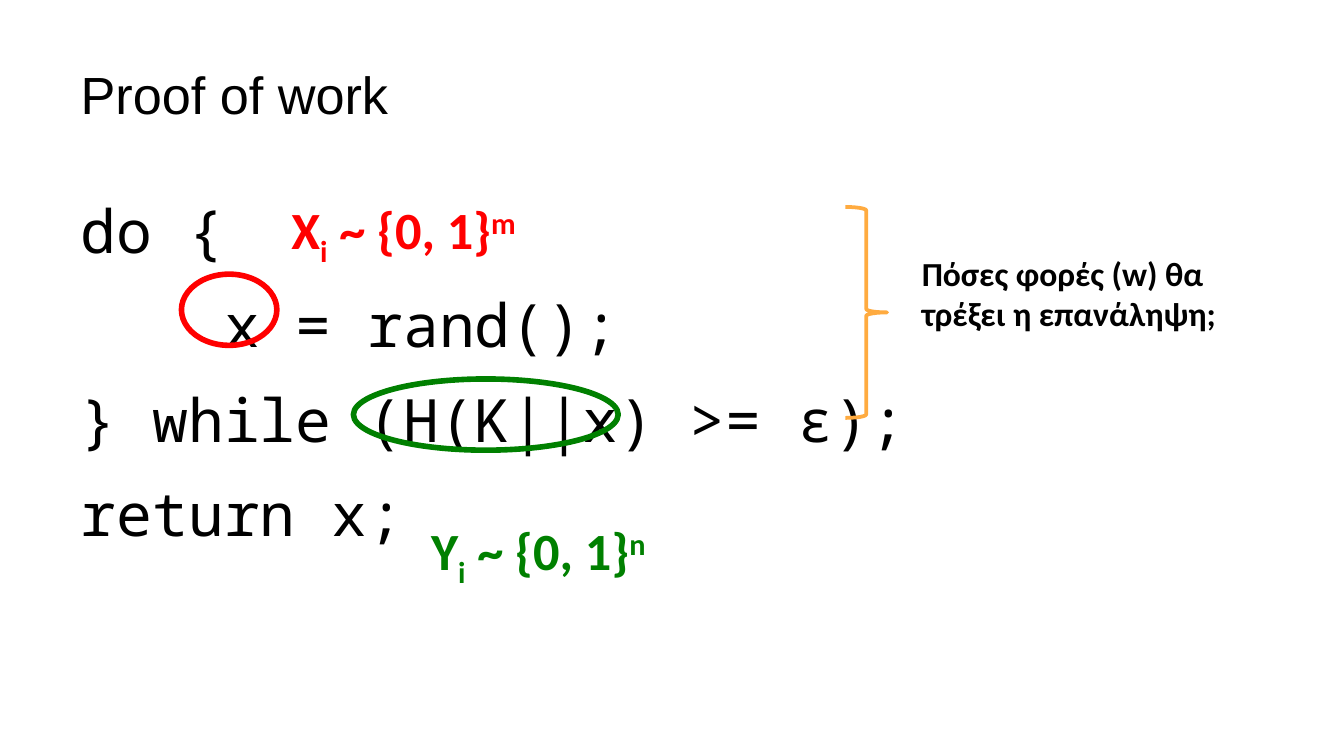
from dataclasses import dataclass

from lxml import etree
from pptx import Presentation
from pptx.dml.color import RGBColor
from pptx.enum.shapes import MSO_SHAPE
from pptx.enum.text import MSO_ANCHOR, MSO_AUTO_SIZE, PP_ALIGN
from pptx.oxml.ns import qn
from pptx.util import Inches, Pt

ELLIPSE = MSO_SHAPE.OVAL
BRACE = MSO_SHAPE.RIGHT_BRACE
MIDDLE = MSO_ANCHOR.MIDDLE
TOP = MSO_ANCHOR.TOP
NO_AUTOFIT = MSO_AUTO_SIZE.NONE
LEFT = PP_ALIGN.LEFT


@dataclass(frozen=True)
class Theme:
    ink: str = "000000"
    input_color: str = "FF0000"
    hash_color: str = "008000"
    loop_color: str = "FFAB40"
    title_font: str = "Arial"
    code_font: str = "Noto Sans Mono"
    label_font: str = "Calibri"
    title_size: float = 28
    code_size: float = 32
    label_size: float = 28
    question_size: float = 18


@dataclass(frozen=True)
class Box:
    left: float
    top: float
    width: float
    height: float

    def lengths(self):
        return [Inches(v) for v in (self.left, self.top, self.width, self.height)]


@dataclass(frozen=True)
class Variable:
    symbol: str
    exponent: str
    color: str
    ring: Box
    label: Box


THEME = Theme()
CODE = ["do {", "    x = rand();", "} while (H(K||x) >= ε);", "return x;"]
VARIABLES = [
    Variable("X", "m", THEME.input_color, Box(1.35, 2.04, 0.71, 0.53), Box(2.07, 1.42, 1.93, 0.43)),
    Variable("Y", "n", THEME.hash_color, Box(2.63, 2.82, 1.97, 0.53), Box(3.11, 3.81, 1.93, 0.43)),
]


def add_run(paragraph, text: str, font: str, size: float, color: str,
            bold: bool = False, baseline: int = 0) -> None:
    run = paragraph.add_run()
    run.text = text
    run.font.name = font
    run.font.size = Pt(size)
    run.font.bold = bold
    run.font.color.rgb = RGBColor.from_string(color)
    if baseline:
        run.font._element.set("baseline", str(baseline * 1000))


def place(shape, box: Box, anchor):
    shape.left, shape.top, shape.width, shape.height = box.lengths()
    frame = shape.text_frame
    frame.word_wrap = True
    frame.auto_size = NO_AUTOFIT
    frame.vertical_anchor = anchor
    return frame


def add_title(slide) -> None:
    frame = place(slide.shapes.title, Box(0.5, 0.23, 9, 0.94), MIDDLE)
    heading = frame.paragraphs[0]
    heading.alignment = LEFT
    add_run(heading, "Proof of work", THEME.title_font, THEME.title_size, THEME.ink)


def add_code(slide) -> None:
    frame = place(slide.placeholders[1], Box(0.5, 1.31, 9, 3.71), TOP)
    for index, code in enumerate(CODE):
        line = frame.add_paragraph() if index else frame.paragraphs[0]
        properties = line._p.get_or_add_pPr()
        properties.set("marL", "0")
        properties.set("indent", "0")
        etree.SubElement(properties, qn("a:buNone"))
        line.alignment = LEFT
        line.line_spacing = 1.15
        line.space_before = Pt(6.4 if index else 0)
        add_run(line, code, THEME.code_font, THEME.code_size, THEME.ink)
    frame.paragraphs[-1].space_after = Pt(16)


def add_outline(slide, kind, box: Box, color: str, weight: float):
    outline = slide.shapes.add_shape(kind, *box.lengths())
    outline.shadow.inherit = False
    outline.fill.background()
    outline.line.color.rgb = RGBColor.from_string(color)
    outline.line.width = Pt(weight)
    return outline


def add_label(slide, box: Box):
    label = slide.shapes.add_textbox(*box.lengths())
    return place(label, box, TOP).paragraphs[0]


def add_loop_question(slide) -> None:
    brace = add_outline(slide, BRACE, Box(6.29, 1.54, 0.31, 1.57), THEME.loop_color, 2)
    brace.adjustments[0] = 0.083
    brace.adjustments[1] = 0.5
    question = add_label(slide, Box(6.76, 1.83, 2.48, 0.53))
    add_run(question, "Πόσες φορές (w) θα τρέξει η επανάληψη;",
            THEME.label_font, THEME.question_size, THEME.ink, True)


def add_variable(slide, variable: Variable) -> None:
    add_outline(slide, ELLIPSE, variable.ring, variable.color, 3)
    formula = add_label(slide, variable.label)
    parts = [(variable.symbol, 0), ("i", -25), (" ~ {0, 1}", 0), (variable.exponent, 30)]
    for text, baseline in parts:
        add_run(formula, text, THEME.label_font, THEME.label_size,
                variable.color, True, baseline)


def main() -> None:
    deck = Presentation()
    deck.slide_width = Inches(10)
    deck.slide_height = Inches(10 * 9 / 16)
    slide = deck.slides.add_slide(deck.slide_layouts[1])
    add_title(slide)
    add_code(slide)
    add_loop_question(slide)
    for variable in VARIABLES:
        add_variable(slide, variable)
    deck.save("out.pptx")


if __name__ == "__main__":
    main()
